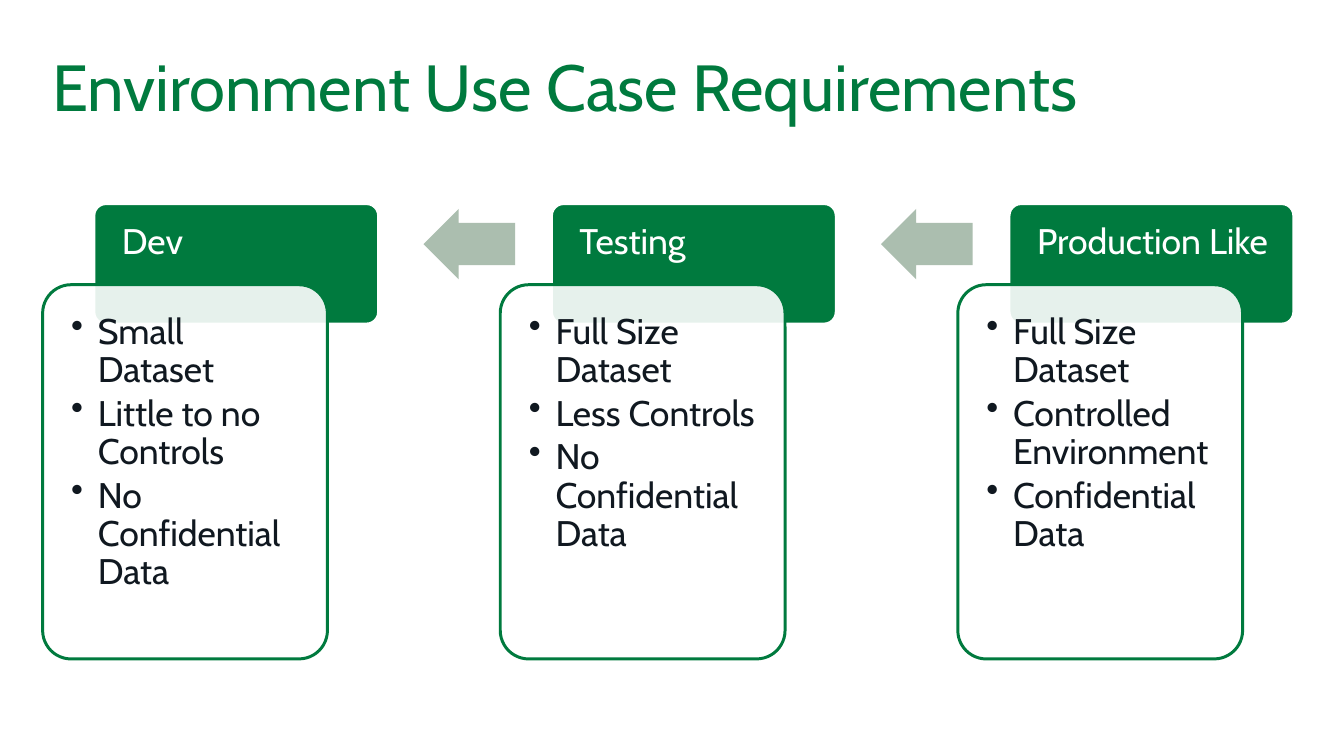
from dataclasses import dataclass

from lxml import etree
from pptx import Presentation
from pptx import util as u
from pptx.dml.color import RGBColor
from pptx.enum import shapes, text
from pptx.oxml import ns


@dataclass(frozen=True)
class Theme:
    green: RGBColor = RGBColor.from_string("007A3E")
    sage: RGBColor = RGBColor.from_string("ABBEAF")
    ink: RGBColor = RGBColor.from_string("101820")
    white: RGBColor = RGBColor.from_string("FFFFFF")
    font: str = "Cabin"
    title_size: int = 44
    body_size: int = 24
    line_width: int = 2


theme = Theme()


def write(shape, lines, size=theme.body_size, color=theme.ink, insets=(0.1, 0.05, 0.1, 0.05),
          line_spacing=1.0, space_after=0, bulleted=False):
    frame = shape.text_frame
    frame.word_wrap = True
    frame.vertical_anchor = text.MSO_ANCHOR.TOP
    frame.margin_left, frame.margin_top, frame.margin_right, frame.margin_bottom = map(u.Inches, insets)
    frame.text = "\n".join(lines)
    for paragraph in frame.paragraphs:
        paragraph.alignment = text.PP_ALIGN.LEFT
        paragraph.line_spacing = line_spacing
        paragraph.space_after = u.Pt(space_after)
        font = paragraph.runs[0].font
        font.name, font.size = theme.font, u.Pt(size)
        font.color.rgb = color
        if bulleted:
            properties = paragraph._p.get_or_add_pPr()
            properties.set("marL", str(u.Inches(0.25)))
            properties.set("indent", str(-u.Inches(0.25)))
            etree.SubElement(properties, ns.qn("a:buChar"), char="•")


def add_block(kind, left, top, width, height, fill, adjustments, line=None):
    shape = slide.shapes.add_shape(kind, *map(u.Inches, (left, top, width, height)))
    shape.shadow.inherit = False
    for index, value in enumerate(adjustments):
        shape.adjustments[index] = value
    shape.fill.solid()
    shape.fill.fore_color.rgb = fill
    if line is None:
        shape.line.fill.background()
    else:
        shape.line.color.rgb = line
        shape.line.width = u.Pt(theme.line_width)
    return shape


presentation = Presentation()
presentation.slide_width = u.Inches(12.6)
presentation.slide_height = u.Inches(7.09)
slide = presentation.slides.add_slide(presentation.slide_layouts[6])

title = slide.shapes.add_textbox(*map(u.Inches, (0.39, 0.39, 11.81, 0.79)))
write(title, ["Environment Use Case Requirements"], size=theme.title_size, color=theme.green)

environments = [
    ("Dev", ["Small Dataset", "Little to no Controls", "No Confidential Data"]),
    ("Testing", ["Full Size Dataset", "Less Controls", "No Confidential Data"]),
    ("Production Like", ["Full Size Dataset", "Controlled Environment", "Confidential Data"]),
]
first_left, column_step, block_width = 0.4, 4.29, 2.67
rounded = shapes.MSO_SHAPE.ROUNDED_RECTANGLE

for column, (name, requirements) in enumerate(environments):
    left = first_left + column * column_step

    header = add_block(rounded, left + 0.48, 1.91, block_width, 1.13, theme.green, [0.1], theme.white)
    write(header, [name], color=theme.white, insets=(0.23, 0.16, 0.09, 0.1), line_spacing=0.9)

    card = add_block(rounded, left, 2.67, block_width, 3.51, theme.white, [0.1], theme.green)
    card_color = card.fill._xPr.find(ns.qn("a:solidFill"))[0]
    etree.SubElement(card_color, ns.qn("a:alpha"), val="90000")
    write(card, requirements, insets=(0.19,) * 4, line_spacing=0.9, space_after=3.6, bulleted=True)

    if column > 0:
        add_block(shapes.MSO_SHAPE.LEFT_ARROW, left - 0.72, 1.96, 0.86, 0.66, theme.sage, [0.6, 0.5])

presentation.save("out.pptx")
